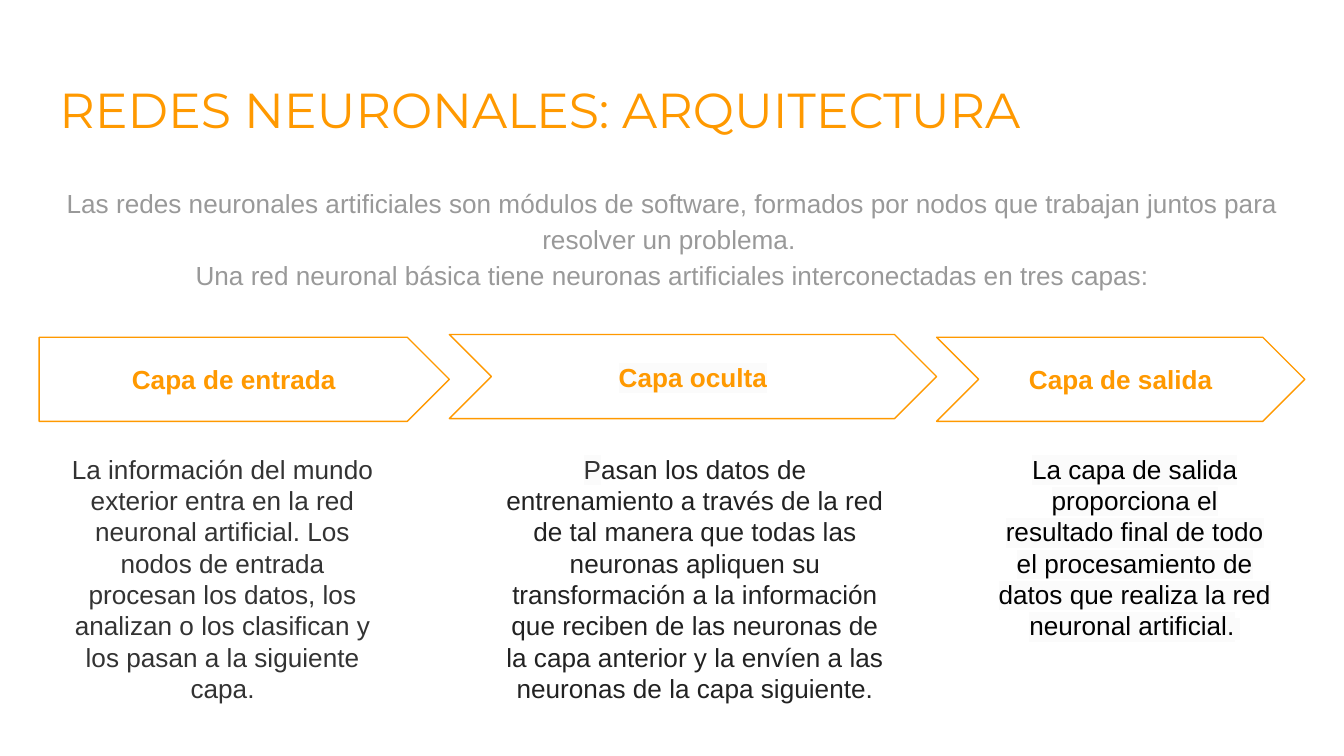
from lxml.etree import SubElement
from pptx import Presentation
from pptx.dml.color import RGBColor
from pptx.enum.shapes import MSO_SHAPE as Shape
from pptx.enum.text import MSO_ANCHOR as Anchor, PP_ALIGN as Align
from pptx.oxml.ns import qn
from pptx.util import Pt

PX = 9525  # 96 px to the inch
INSET = Pt(7.2)
ORANGE = RGBColor(0xFF, 0x99, 0x00)
GRAY = RGBColor(0x99, 0x99, 0x99)
DARK = RGBColor(0x33, 0x33, 0x33)
INK = RGBColor(0x22, 0x22, 0x22)
BLACK = RGBColor(0, 0, 0)
WHITE = RGBColor(0xFF, 0xFF, 0xFF)
PALE = RGBColor(0xFB, 0xFB, 0xFB)


def px(*sizes):
    return [size * PX for size in sizes]


def add_run(para, text, color, size=14, face="Arial", bold=False, mark=None):
    run = para.add_run()
    run.text = text
    font = run.font
    font.size, font.bold = Pt(size), bold
    font.color.rgb = color
    if mark:  # highlight goes between the fill and the typeface
        light = SubElement(run._r.get_or_add_rPr(), qn("a:highlight"))
        SubElement(light, qn("a:srgbClr"), val=str(mark))
    font.name = face


def set_frame(shape, anchor=Anchor.TOP):
    frame = shape.text_frame
    frame.word_wrap = True
    frame.vertical_anchor = anchor
    frame.margin_left = frame.margin_right = INSET
    frame.margin_top = frame.margin_bottom = INSET
    return frame


def add_text(slide, box, paras, align=Align.CENTER, space=1.0):
    """Each paragraph is a list of runs: (text, color, options)."""
    frame = set_frame(slide.shapes.add_textbox(*px(*box)))
    for i, runs in enumerate(paras):
        para = frame.add_paragraph() if i else frame.paragraphs[0]
        para.alignment, para.line_spacing = align, space
        for text, color, style in runs:
            add_run(para, text, color, **style)


def add_step(slide, kind, box, text, mark=None):
    step = slide.shapes.add_shape(kind, *px(*box))
    step.shadow.inherit = False
    step.adjustments[0] = 0.5
    step.fill.solid()
    step.fill.fore_color.rgb = WHITE
    step.line.color.rgb = ORANGE
    step.line.width = Pt(0.75)
    para = set_frame(step, Anchor.MIDDLE).paragraphs[0]
    para.alignment = Align.CENTER
    add_run(para, text, ORANGE, bold=True, mark=mark)


def main():
    deck = Presentation()
    deck.slide_width, deck.slide_height = px(960, 540)
    slide = deck.slides.add_slide(deck.slide_layouts[6])

    # Title and introduction
    add_text(slide, (33, 47, 895, 60),
             [[("REDES NEURONALES: ARQUITECTURA", ORANGE,
                {"size": 26.3, "face": "Montserrat"})]], Align.LEFT)
    add_text(slide, (33, 121, 895, 359), [
        [("Las redes neuronales artificiales son módulos de software, "
          "formados por nodos que trabajan juntos para resolver un "
          "problema. ", GRAY, {})],
        [("Una red neuronal básica tiene neuronas artificiales "
          "interconectadas en tres capas:", GRAY, {})],
    ], space=1.15)

    # Row of touching arrows, one per layer
    left = 28
    for kind, top, width, text, mark in (
            (Shape.PENTAGON, 241, 293, "Capa de entrada", None),
            (Shape.CHEVRON, 239, 348, "Capa oculta", PALE),
            (Shape.CHEVRON, 241, 263, "Capa de salida", None)):
        add_step(slide, kind, (left, top, width, 60), text, mark)
        left += width

    # Description under each arrow
    for left, width, height, runs in (
            (38, 242, 201, [
                ("La información del mundo exterior entra en la red "
                 "neuronal artificial. Los nodos de entrada procesan los "
                 "datos, los analizan o los clasifican y los pasan a la "
                 "siguiente capa.", DARK, {})]),
            (350, 293, 201, [
                ("P", DARK, {"mark": PALE}),
                ("asan los datos de entrenamiento a través de la red de tal "
                 "manera que todas las neuronas apliquen su transformación "
                 "a la información que reciben de las neuronas de la capa "
                 "anterior y la envíen a las neuronas de la capa "
                 "siguiente.", INK, {})]),
            (702, 217, 156, [
                ("La capa de salida proporciona el resultado final de todo "
                 "el procesamiento de datos que realiza la red neuronal "
                 "artificial.", BLACK, {"mark": PALE}),
                (" ", BLACK, {"size": 10.5, "mark": PALE})])):
        add_text(slide, (left, 314, width, height), [runs])

    deck.save("out.pptx")


if __name__ == "__main__":
    main()
